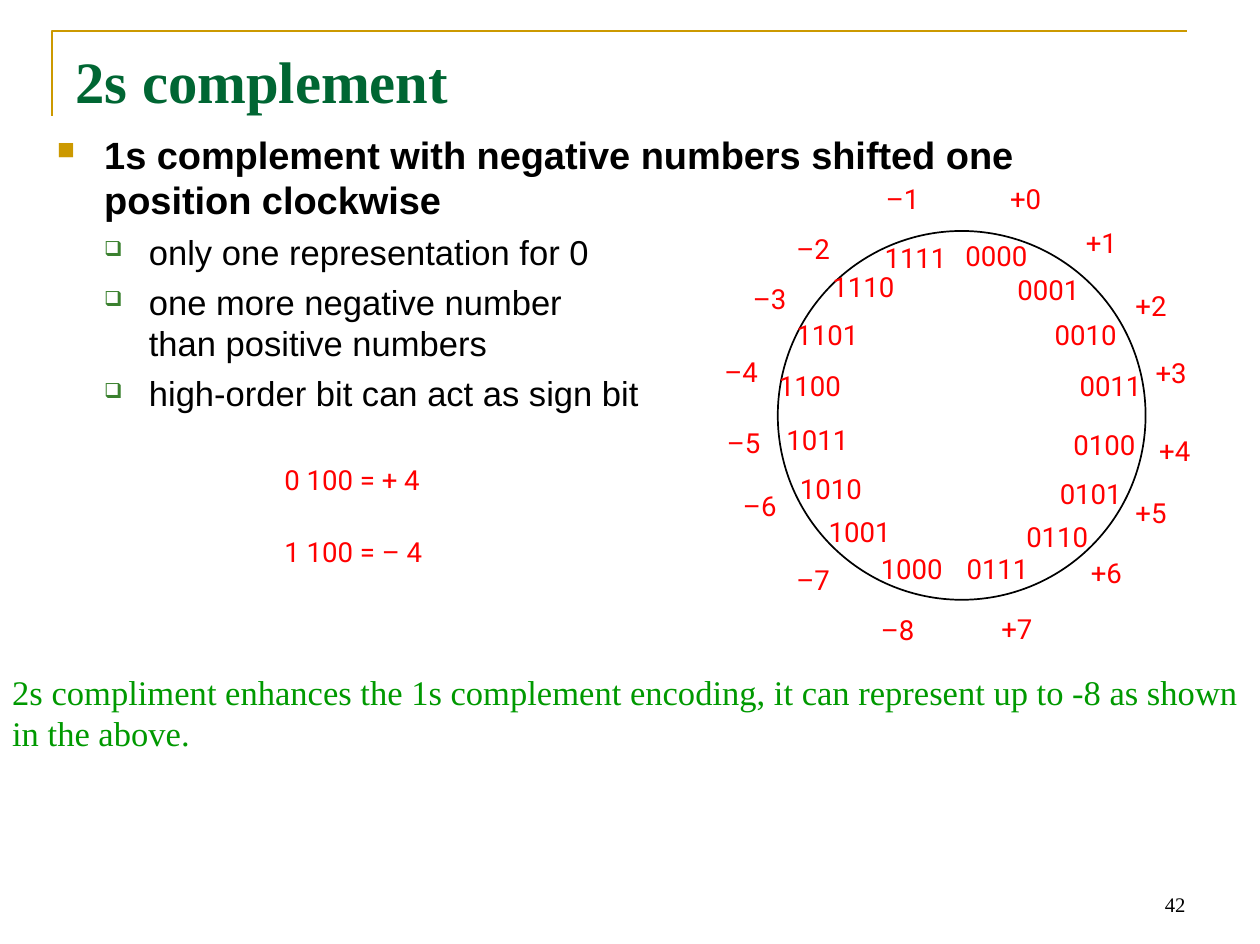
from lxml.etree import SubElement
from pptx import Presentation
from pptx.dml.color import RGBColor
from pptx.enum.shapes import MSO_SHAPE
from pptx.enum.text import MSO_ANCHOR, PP_ALIGN
from pptx.oxml.ns import qn
from pptx.util import Pt

TITLE = "2s complement"
BODY = [
    (0, "1s complement with negative numbers shifted one position clockwise"),
    (1, "only one representation for 0"),
    (1, "one more negative number\vthan positive numbers"),
    (1, "high-order bit can act as sign bit"),
]
EXAMPLES = ["0 100 = + 4", "1 100 = – 4"]
REMARK = "2s compliment enhances the 1s complement encoding, it can represent up to -8 as shown in the above."
PAGE_NUMBER = "42"

RING = {
    0: ((583.9, 106.6), (558, 141.8)),
    1: ((627.8, 131.8), (588.2, 161.3)),
    2: ((656.6, 168.5), (609.8, 187.2)),
    3: ((668.2, 207.4), (624.2, 216.7)),
    4: ((670.3, 252.7), (620.6, 251.3)),
    5: ((656.6, 288.7), (612.7, 279.4)),
    6: ((630.7, 323.3), (593.3, 304.6)),
    7: ((578.9, 355.7), (558.7, 323.3)),
    -8: ((509, 356.4), (509, 323.3)),
    -7: ((460.1, 327.6), (478.8, 301.7)),
    -6: ((429.1, 284.4), (462.2, 276.5)),
    -5: ((419.8, 247.7), (454.3, 248.4)),
    -4: ((418.3, 206.6), (450, 216.7)),
    -3: ((434.9, 164.2), (460.1, 187.2)),
    -2: ((460.1, 135.4), (481, 159.8)),
    -1: ((511.9, 106.6), (511.2, 142.6)),
}

THEME = {
    "serif": "Times New Roman",
    "sans": "Arial",
    "label": "Roboto",
    "gold": "CC9900",
    "title": "006633",
    "bullet": "3B812F",
    "remark": "009900",
    "red": "FF0000",
    "black": "000000",
    "white": "FFFFFF",
    "title_size": 34,
    "body_sizes": (22, 20),
    "label_size": 16,
    "remark_size": 20,
    "page_size": 12,
}
BULLETS = [
    ("■", THEME["gold"], 65, 27.4, -27.4),
    ("❑", THEME["bullet"], 60, 53.3, -25.9),
]
WIDTH, HEIGHT = 730.08, 547.2


def color(name):
    return RGBColor.from_string(THEME[name])


def style(paragraph, font_name, size, color_name, bold=False):
    for run in paragraph.runs:
        run.font.name = THEME[font_name]
        run.font.size = Pt(size)
        run.font.bold = bold
        run.font.color.rgb = color(color_name)


def add_text_box(shapes, left, top, width, height, margins=(7.2, 3.6)):
    text_frame = shapes.add_textbox(Pt(left), Pt(top), Pt(width), Pt(height)).text_frame
    text_frame.word_wrap = True
    text_frame.margin_left = text_frame.margin_right = Pt(margins[0])
    text_frame.margin_top = text_frame.margin_bottom = Pt(margins[1])
    return text_frame


def add_label(shapes, lines, left, top, width, height, spacing):
    text_frame = add_text_box(shapes, left, top, width, height, (1.4, 2.2))
    text_frame.text = "\n".join(lines)
    for index, paragraph in enumerate(text_frame.paragraphs):
        paragraph.line_spacing = Pt(spacing)
        if index:
            paragraph.space_before = Pt(spacing)
        style(paragraph, "label", THEME["label_size"], "red")


def add_bullet(paragraph, level):
    character, bullet_color, percent, margin, indent = BULLETS[level]
    properties = paragraph._p.get_or_add_pPr()
    properties.set("marL", str(Pt(margin)))
    properties.set("indent", str(Pt(indent)))
    fill = SubElement(properties, qn("a:buClr"))
    SubElement(fill, qn("a:srgbClr"), val=bullet_color)
    SubElement(properties, qn("a:buSzPct"), val=str(percent * 1000))
    SubElement(properties, qn("a:buChar"), char=character)


def add_frame(slide):
    builder = slide.shapes.build_freeform(Pt(30.2), Pt(67))
    builder.add_line_segments([(Pt(30.2), Pt(18)), (Pt(687.6), Pt(18))], close=False)
    frame = builder.convert_to_shape()
    frame.shadow.inherit = False
    frame.fill.background()
    frame.line.color.rgb = color("gold")
    frame.line.width = Pt(1.5)


def add_ring(slide):
    shapes = slide.shapes.add_group_shape().shapes
    for value, (label_at, _) in RING.items():
        sign = "–" if value < 0 else "+"
        add_label(shapes, [f"{sign}{abs(value)}"], *label_at, 34 if value < 0 else 28, 28, 16)
    circle = shapes.add_shape(MSO_SHAPE.OVAL, Pt(450.7), Pt(133.9), Pt(213.1), Pt(213.8))
    circle.shadow.inherit = False
    circle.fill.solid()
    circle.fill.fore_color.rgb = color("white")
    circle.line.color.rgb = color("black")
    circle.line.width = Pt(1)
    for value, (_, code_at) in RING.items():
        add_label(shapes, [format(value % 16, "04b")], *code_at, 47, 24, 13.9)


def add_body(slide):
    text_frame = add_text_box(slide.shapes, 25.9, 69.1, 656.6, 361.4)
    text_frame.margin_top = Pt(7)
    text_frame.text = "\n".join(text for _, text in BODY)
    for index, (paragraph, (level, _)) in enumerate(zip(text_frame.paragraphs, BODY)):
        paragraph.level = level
        add_bullet(paragraph, level)
        if index:
            paragraph.space_before = Pt(5)
        style(paragraph, "sans", THEME["body_sizes"][level], "black", level == 0)


def add_remark(slide):
    remark = slide.shapes.add_shape(MSO_SHAPE.RECTANGLE, 0, Pt(385.2), Pt(WIDTH), Pt(55.4))
    remark.shadow.inherit = False
    remark.fill.solid()
    remark.fill.fore_color.rgb = color("white")
    remark.line.fill.background()
    text_frame = remark.text_frame
    text_frame.word_wrap = True
    text_frame.vertical_anchor = MSO_ANCHOR.TOP
    text_frame.text = REMARK
    paragraph = text_frame.paragraphs[0]
    paragraph.alignment = PP_ALIGN.LEFT
    style(paragraph, "serif", THEME["remark_size"], "remark")


def main():
    presentation = Presentation()
    presentation.slide_width, presentation.slide_height = Pt(WIDTH), Pt(HEIGHT)
    slide = presentation.slides.add_slide(presentation.slide_layouts[6])

    add_frame(slide)

    number = add_text_box(slide.shapes, 523.4, 498.2, 170.6, 36.7)
    number.vertical_anchor = MSO_ANCHOR.BOTTOM
    number.text = PAGE_NUMBER
    number.paragraphs[0].alignment = PP_ALIGN.RIGHT
    style(number.paragraphs[0], "serif", THEME["page_size"], "black")

    add_label(slide.shapes, EXAMPLES, 163.4, 264.2, 121, 74.9, 21)
    add_ring(slide)

    title = add_text_box(slide.shapes, 36.7, 22.3, 656.6, 90.7)
    title.text = TITLE
    style(title.paragraphs[0], "serif", THEME["title_size"], "title", True)

    add_body(slide)
    add_remark(slide)
    presentation.save("out.pptx")


if __name__ == "__main__":
    main()
